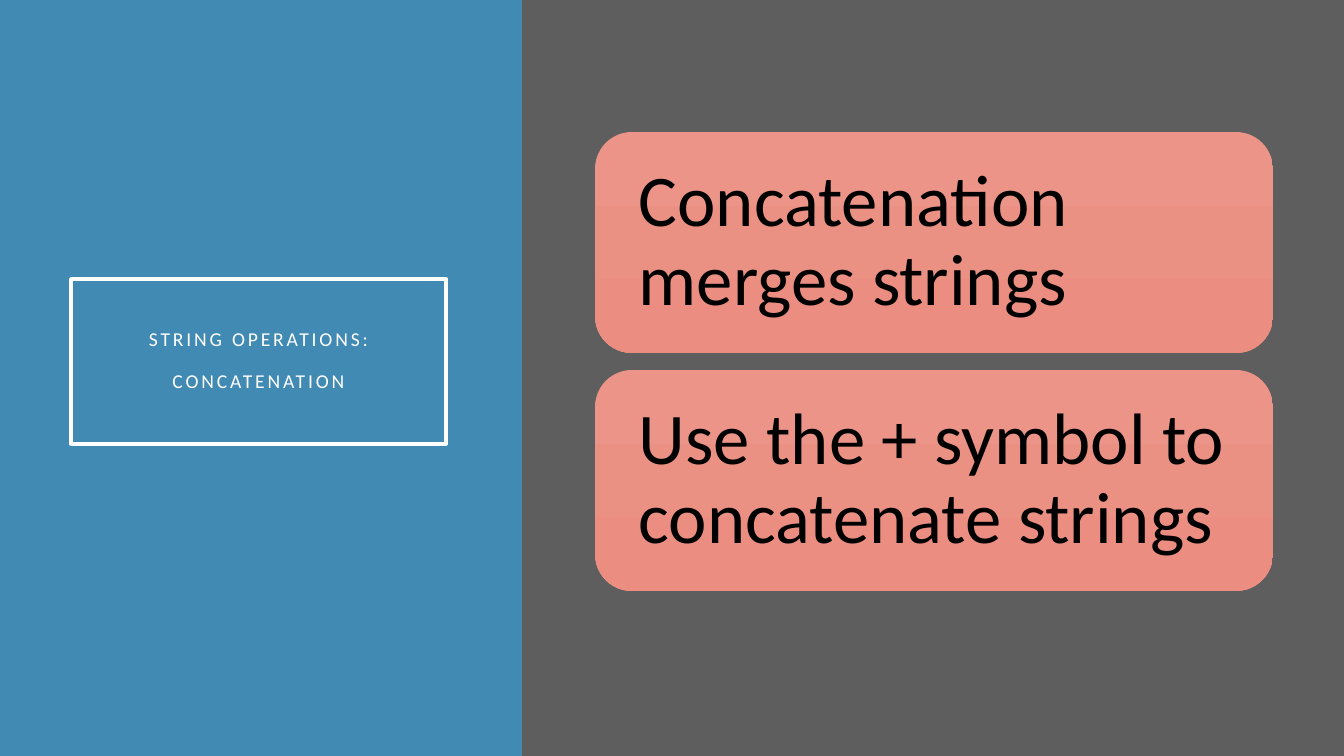
"""Build the string concatenation slide."""
import pptx
import pptx.dml.color
import pptx.enum.shapes
import pptx.enum.text
import pptx.util

THEME = {
    "blue": "418AB3", "gray": "5E5E5E", "white": "FFFFFF", "black": "000000",
    "card_top": "EB9487", "card_bottom": "EB8E81",
    "font": "Calibri", "title_size": 14, "card_size": 52,
}
EMU_PER_PX = 914400 / 100.8
SHAPES = pptx.enum.shapes.MSO_SHAPE
ALIGN = pptx.enum.text.PP_ALIGN


def px(length):
    return pptx.util.Emu(round(length * EMU_PER_PX))


def color(name):
    return pptx.dml.color.RGBColor.from_string(THEME[name])


deck = pptx.Presentation()
deck.slide_width, deck.slide_height = px(1344), px(756)
slide = deck.slides.add_slide(deck.slide_layouts[6])
slide.background.fill.solid()
slide.background.fill.fore_color.rgb = color("gray")

side_panel = slide.shapes.add_shape(SHAPES.RECTANGLE, 0, 0, px(522), px(756))
side_panel.shadow.inherit = False
side_panel.fill.solid()
side_panel.fill.fore_color.rgb = color("blue")
side_panel.line.fill.background()

title_frame = slide.shapes.add_shape(SHAPES.RECTANGLE, px(71), px(279), px(375), px(165))
title_frame.fill.background()
title_frame.line.color.rgb = color("white")
title_frame.line.width = pptx.util.Pt(2.5)

cards = []
for row in range(2):
    card = slide.shapes.add_shape(
        SHAPES.ROUNDED_RECTANGLE, px(595), px(132 + 238 * row), px(678), px(221))
    card.fill.gradient()
    card.fill.gradient_angle = 270
    for stop, name in zip(card.fill.gradient_stops, ("card_top", "card_bottom")):
        stop.color.rgb = color(name)
    card.line.fill.background()
    cards.append(card)

contents = [
    (title_frame, ["STRING OPERATIONS:", "CONCATENATION"], 20, ALIGN.CENTER, "title_size", "white", 200),
    (cards[0], ["Concatenation merges strings"], 33, ALIGN.LEFT, "card_size", "black", 0),
    (cards[1], ["Use the + symbol to concatenate strings"], 33, ALIGN.LEFT, "card_size", "black", 0),
]
for holder, lines, inset, alignment, size, ink, tracking in contents:
    holder.shadow.inherit = False
    frame_format = {
        "word_wrap": True,
        "vertical_anchor": pptx.enum.text.MSO_ANCHOR.MIDDLE,
        "margin_left": px(inset), "margin_right": px(inset),
        "margin_top": px(inset), "margin_bottom": px(inset),
    }
    for key, value in frame_format.items():
        setattr(holder.text_frame, key, value)
    holder.text_frame.text = "\n".join(lines)
    for index, paragraph in enumerate(holder.text_frame.paragraphs):
        paragraph.alignment = alignment
        paragraph.line_spacing = 0.9
        if index:
            paragraph.space_before = pptx.util.Pt(15)
        run = paragraph.runs[0]
        run.font.name = THEME["font"]
        run.font.size = pptx.util.Pt(THEME[size])
        run.font.color.rgb = color(ink)
        if tracking:
            run.font._element.set("spc", str(tracking))

deck.save("out.pptx")
